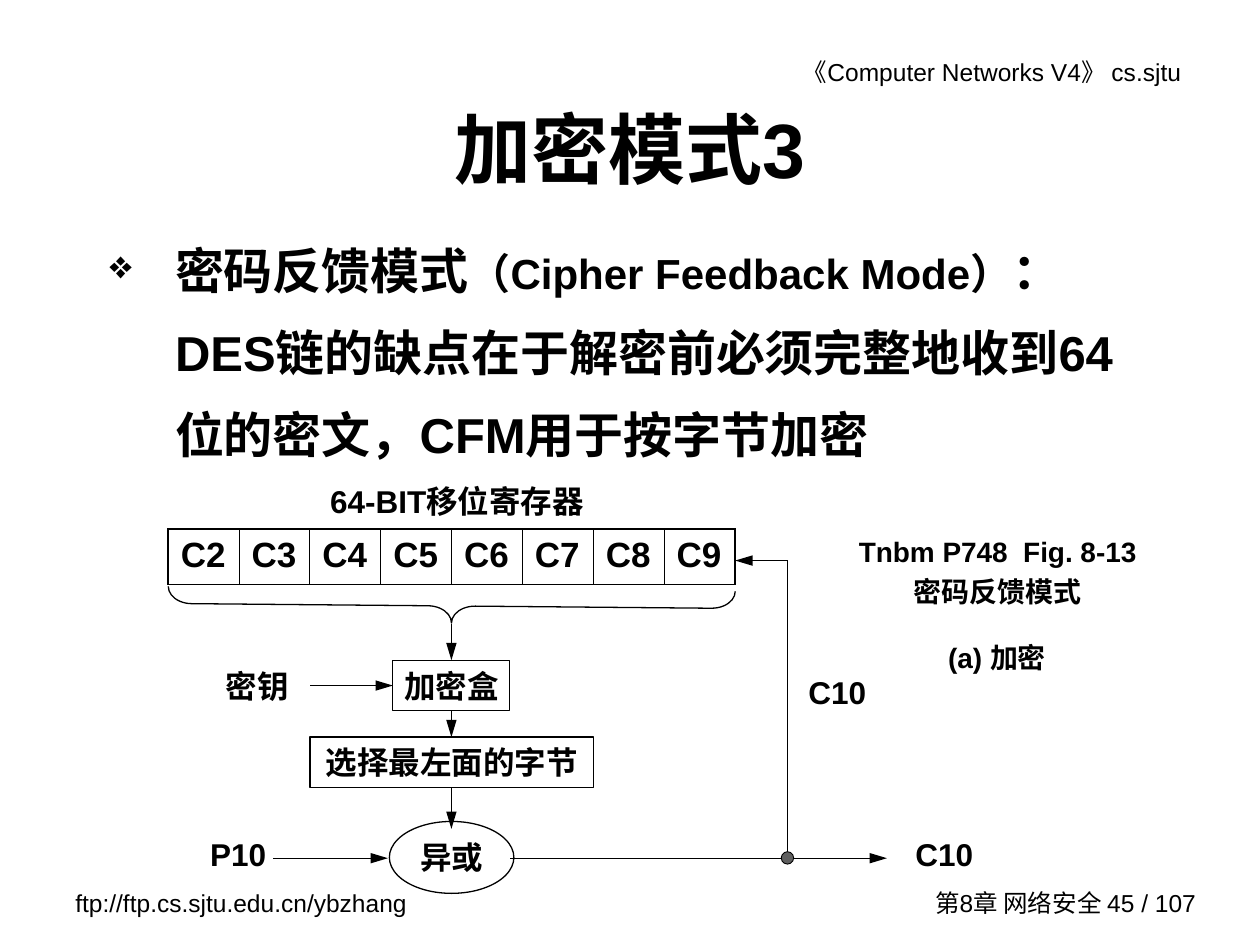
from dataclasses import dataclass

from lxml.etree import SubElement
from pptx import Presentation
from pptx.dml.color import RGBColor
from pptx.enum.shapes import MSO_CONNECTOR as Link, MSO_SHAPE as Shape
from pptx.enum.text import MSO_ANCHOR as Anchor, PP_ALIGN as Align
from pptx.oxml import parse_xml
from pptx.oxml.ns import nsdecls, qn
from pptx.util import Cm, Pt


@dataclass(frozen=True)
class Theme:
    font: str = "Arial"
    ink: RGBColor = RGBColor(0, 0, 0)
    dot: RGBColor = RGBColor(0x5F, 0x5F, 0x5F)
    title: int = 44
    body: int = 28
    term: int = 24
    register: int = 20
    label: int = 18
    caption: int = 16
    footer: int = 14
    line: float = 0.75
    dot_line: float = 0.5
    frame: float = 1.08
    divider: float = 0.45


THEME = Theme()


def style_font(font, size=None, bold=True):
    font.name = THEME.font
    font.bold = bold
    font.color.rgb = THEME.ink
    if size:
        font.size = Pt(size)


def write(frame, text, size, align=Align.CENTER, bold=True, anchor=Anchor.MIDDLE, wrap=True):
    frame.word_wrap = wrap
    frame.vertical_anchor = anchor
    paragraph = frame.paragraphs[0]
    paragraph.text = text
    paragraph.alignment = align
    style_font(paragraph.font, size, bold)
    return paragraph


def add_label(slide, box, text, size=THEME.label, **layout):
    label = slide.shapes.add_textbox(*map(Cm, box))
    return write(label.text_frame, text, size, **layout)


def add_outline(slide, preset, box, weight=THEME.line):
    outline = slide.shapes.add_shape(preset, *map(Cm, box))
    outline.shadow.inherit = False
    outline.fill.background()
    outline.line.color.rgb = THEME.ink
    outline.line.width = Pt(weight)
    return outline


def add_step(slide, preset, box, text, wrap=True):
    step = add_outline(slide, preset, box)
    step.text_frame.margin_left = step.text_frame.margin_right = 0
    write(step.text_frame, text, THEME.label, wrap=wrap)


def add_wire(slide, start, end, arrow=True):
    wire = slide.shapes.add_connector(Link.STRAIGHT, *map(Cm, start + end))
    wire.line.color.rgb = THEME.ink
    wire.line.width = Pt(THEME.line)
    properties = wire.element.spPr
    if arrow:
        SubElement(properties.find(qn("a:ln")), qn("a:tailEnd"), type="triangle", w="med", len="lg")
    SubElement(properties, qn("a:effectLst"))


def set_borders(cell, left, right):
    widths = {"L": left, "R": right, "T": THEME.frame, "B": THEME.frame}
    properties = cell._tc.get_or_add_tcPr()
    for position, (side, width) in enumerate(widths.items()):
        border = parse_xml(
            f'<a:ln{side} {nsdecls("a")} w="{Pt(width)}"><a:solidFill>'
            f'<a:srgbClr val="{THEME.ink}"/></a:solidFill></a:ln{side}>'
        )
        properties.insert(position, border)


def add_register(slide, box, names):
    graphic = slide.shapes.add_table(1, len(names), *map(Cm, box))
    register = graphic.table
    register.first_row = register.horz_banding = False
    last = len(names) - 1
    for index, name in enumerate(names):
        register.columns[index].width = Cm(box[2] / len(names))
        cell = register.cell(0, index)
        cell.fill.background()
        paragraph = cell.text_frame.paragraphs[0]
        paragraph.text = name
        style_font(paragraph.font, THEME.register)
        set_borders(
            cell,
            THEME.frame if index == 0 else THEME.divider,
            THEME.frame if index == last else THEME.divider,
        )


def add_statement(slide, box, parts):
    statement = slide.shapes.add_textbox(*map(Cm, box))
    statement.text_frame.word_wrap = True
    paragraph = statement.text_frame.paragraphs[0]
    paragraph.line_spacing = 1.4
    properties = paragraph._p.get_or_add_pPr()
    properties.set("marL", str(Cm(1.32)))
    properties.set("indent", str(Cm(-1.32)))
    SubElement(properties, qn("a:buSzPct"), val="80000")
    SubElement(properties, qn("a:buChar"), char="❖")
    style_font(paragraph.font)
    for text, size in parts:
        run = paragraph.add_run()
        run.text = text
        run.font.size = Pt(size)


def add_page_text(slide):
    add_label(slide, (13.26, 1.02, 10.8, 0.86), "《Computer Networks V4》 cs.sjtu",
              THEME.footer, align=Align.RIGHT, bold=False, anchor=Anchor.TOP)
    add_label(slide, (1.27, 17.78, 7.42, 0.86), "ftp://ftp.cs.sjtu.edu.cn/ybzhang",
              THEME.footer, align=Align.LEFT, bold=False, anchor=Anchor.TOP)
    add_label(slide, (18.24, 17.78, 6.12, 0.84), "第8章 网络安全 45 / 107",
              THEME.footer, align=Align.RIGHT, bold=False)
    add_label(slide, (1.9, 1.7, 21.6, 2.54), "加密模式3", THEME.title)
    add_statement(slide, (1.96, 4.24, 21.54, 5.26), [
        ("密码反馈模式", THEME.body),
        ("（Cipher Feedback Mode）", THEME.term),
        ("：DES链的缺点在于解密前必须完整地收到64位的密文，CFM用于按字节加密", THEME.body),
    ])
    figure = add_label(slide, (16.94, 10.52, 6.35, 2.06), "Tnbm P748  Fig. 8-13 密码反馈模式",
                       THEME.caption, anchor=Anchor.TOP)
    figure.line_spacing = 1.2
    add_label(slide, (18.64, 12.78, 2.92, 1.02), "(a) 加密", THEME.caption, anchor=Anchor.TOP)


def add_cipher_diagram(slide):
    axis, feedback = 9.1, 15.88
    key_row, output_row, register_row = 13.82, 17.3, 11.3

    add_register(slide, (3.39, 10.67, 11.43, 1.11), [f"C{number}" for number in range(2, 10)])
    brace = add_outline(slide, Shape.LEFT_BRACE, (8.76, 6.5, 0.69, 11.43))
    brace.adjustments[0] = 0.69
    brace.rotation = 270.5

    add_step(slide, Shape.RECTANGLE, (7.92, 13.31, 2.36, 1.02), "加密盒")
    add_step(slide, Shape.RECTANGLE, (6.25, 14.86, 5.72, 1.02), "选择最左面的字节")
    add_step(slide, Shape.OVAL, (7.85, 16.56, 2.51, 1.45), "异或", wrap=False)

    for box, text in [
        ((4.45, 9.58, 9.53, 1.02), "64-BIT移位寄存器"),
        ((4.01, 13.31, 2.36, 1.02), "密钥"),
        ((3.38, 16.71, 2.84, 1.02), "P10"),
        ((17.98, 16.71, 2.11, 1.02), "C10"),
        ((15.88, 13.44, 2, 1.02), "C10"),
    ]:
        add_label(slide, box, text)

    for top, bottom in [(12.57, 13.31), (14.33, 14.86), (15.88, 16.71)]:
        add_wire(slide, (axis, top), (axis, bottom))
    for left, right, row in [
        (6.25, 7.92, key_row),
        (5.51, 7.82, output_row),
        (10.29, 17.88, output_row),
        (feedback, 14.82, register_row),
    ]:
        add_wire(slide, (left, row), (right, row))
    add_wire(slide, (feedback, register_row), (feedback, output_row), arrow=False)

    junction = add_outline(slide, Shape.OVAL, (15.75, 17.17, 0.25, 0.25), THEME.dot_line)
    junction.fill.solid()
    junction.fill.fore_color.rgb = THEME.dot


def main():
    deck = Presentation()
    deck.slide_width, deck.slide_height = Cm(25.4), Cm(19.05)
    slide = deck.slides.add_slide(deck.slide_layouts[6])
    add_page_text(slide)
    add_cipher_diagram(slide)
    deck.save("out.pptx")


if __name__ == "__main__":
    main()
